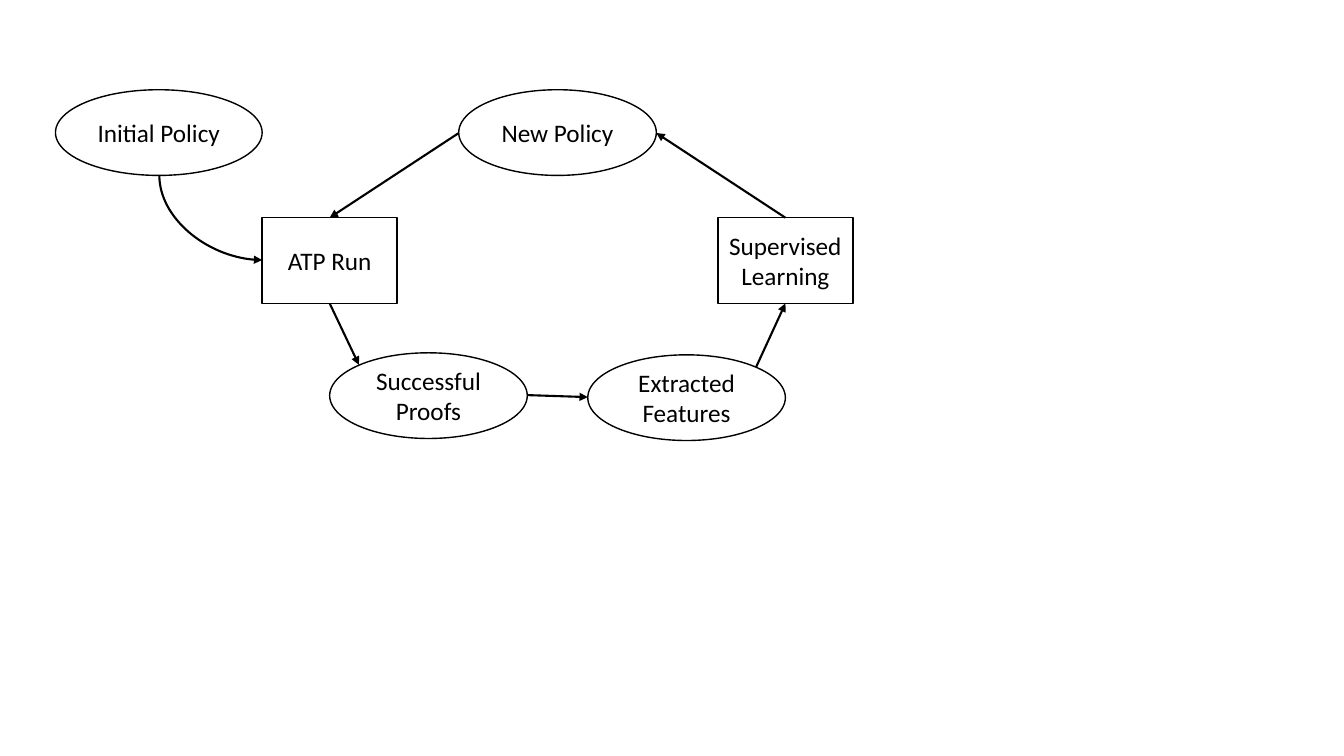
from dataclasses import dataclass
from enum import Enum
from math import hypot

from lxml.etree import SubElement
from pptx import Presentation
from pptx.dml.color import RGBColor
from pptx.enum.shapes import MSO_CONNECTOR, MSO_SHAPE
from pptx.enum.text import MSO_ANCHOR, PP_ALIGN
from pptx.oxml.ns import qn
from pptx.shapes.autoshape import Shape
from pptx.shapes.connector import Connector
from pptx.slide import Slide
from pptx.util import Emu, Pt

EMU_PER_PX = 9144  # 100 px to the inch


@dataclass(frozen=True)
class Theme:
    ink: RGBColor = RGBColor(0x00, 0x00, 0x00)
    paper: RGBColor = RGBColor(0xFF, 0xFF, 0xFF)
    font: str = "Calibri"
    label_size: float = 18
    outline: float = 1
    arrow: float = 1.5


THEME = Theme()


class Side(Enum):
    """Direction from the centre of a node to a point on its edge."""
    TOP = (0, -1)
    LEFT = (-1, 0)
    BOTTOM = (0, 1)
    RIGHT = (1, 0)
    TOP_LEFT = (-1, -1)
    TOP_RIGHT = (1, -1)


RECTANGLE_SITES = {Side.TOP: 0, Side.LEFT: 1, Side.BOTTOM: 2, Side.RIGHT: 3}


@dataclass(frozen=True)
class Node:
    label: str
    left: int
    top: int
    width: int
    height: int = 85
    outline: MSO_SHAPE = MSO_SHAPE.OVAL

    def edge_point(self, side: Side) -> tuple[int, int]:
        dx, dy = side.value
        reach = 2 * hypot(dx, dy)
        return (round(self.left + self.width * (0.5 + dx / reach)),
                round(self.top + self.height * (0.5 + dy / reach)))


@dataclass(frozen=True)
class Arrow:
    source: Node
    leaves: Side
    target: Node
    enters: Side
    curved: bool = False


# Steps are rectangles, data are ellipses
ATP_RUN = Node("ATP Run", 260, 216, 134, outline=MSO_SHAPE.RECTANGLE)
PROOFS = Node("Successful Proofs", 327, 350, 196)
FEATURES = Node("Extracted Features", 583, 352, 196)
LEARNING = Node("Supervised Learning", 712, 216, 134, outline=MSO_SHAPE.RECTANGLE)
NEW_POLICY = Node("New Policy", 455, 89, 196)
INITIAL_POLICY = Node("Initial Policy", 55, 89, 205)
NODES = (ATP_RUN, PROOFS, FEATURES, LEARNING, NEW_POLICY, INITIAL_POLICY)

ARROWS = (
    Arrow(INITIAL_POLICY, Side.BOTTOM, ATP_RUN, Side.LEFT, curved=True),
    Arrow(ATP_RUN, Side.BOTTOM, PROOFS, Side.TOP_LEFT),
    Arrow(PROOFS, Side.RIGHT, FEATURES, Side.LEFT),
    Arrow(FEATURES, Side.TOP_RIGHT, LEARNING, Side.BOTTOM),
    Arrow(LEARNING, Side.TOP, NEW_POLICY, Side.RIGHT),
    Arrow(NEW_POLICY, Side.LEFT, ATP_RUN, Side.TOP),
)


def px(length: float) -> Emu:
    return Emu(round(length * EMU_PER_PX))


def write_text(shape: Shape, text: str, *, size: float, color: RGBColor,
               align: PP_ALIGN = PP_ALIGN.CENTER) -> None:
    frame = shape.text_frame
    frame.word_wrap = True
    frame.vertical_anchor = MSO_ANCHOR.MIDDLE
    paragraph = frame.paragraphs[0]
    paragraph.alignment = align
    run = paragraph.add_run()
    run.text = text
    run.font.name = THEME.font
    run.font.size = Pt(size)
    run.font.color.rgb = color


def draw_node(slide: Slide, node: Node) -> Shape:
    shape = slide.shapes.add_shape(node.outline, px(node.left), px(node.top),
                                   px(node.width), px(node.height))
    shape.shadow.inherit = False
    shape.fill.solid()
    shape.fill.fore_color.rgb = THEME.paper
    shape.line.color.rgb = THEME.ink
    shape.line.width = Pt(THEME.outline)
    write_text(shape, node.label, size=THEME.label_size, color=THEME.ink)
    return shape


def bend_down_then_right(connector: Connector, start: tuple[int, int],
                         end: tuple[int, int]) -> None:
    """Make a quarter bend; its frame is stored turned by 270 degrees."""
    run, drop = end[0] - start[0], end[1] - start[1]
    connector.left = px((start[0] + end[0] - drop) / 2)
    connector.top = px((start[1] + end[1] - run) / 2)
    connector.width, connector.height = px(drop), px(run)
    properties = connector._element.spPr
    properties.find(qn("a:prstGeom")).set("prst", "curvedConnector2")
    frame = properties.find(qn("a:xfrm"))
    frame.set("rot", str(270 * 60000))
    frame.set("flipH", "1")


def draw_arrow(slide: Slide, arrow: Arrow, shapes: dict[Node, Shape]) -> None:
    start = arrow.source.edge_point(arrow.leaves)
    end = arrow.target.edge_point(arrow.enters)
    kind = MSO_CONNECTOR.CURVE if arrow.curved else MSO_CONNECTOR.STRAIGHT
    connector = slide.shapes.add_connector(kind, *map(px, start + end))

    # Join the ends that meet a rectangle
    if arrow.source.outline == MSO_SHAPE.RECTANGLE:
        connector.begin_connect(shapes[arrow.source], RECTANGLE_SITES[arrow.leaves])
    if arrow.target.outline == MSO_SHAPE.RECTANGLE:
        connector.end_connect(shapes[arrow.target], RECTANGLE_SITES[arrow.enters])
    if arrow.curved:
        bend_down_then_right(connector, start, end)

    # Line, arrowhead, no shadow
    connector.line.color.rgb = THEME.ink
    connector.line.width = Pt(THEME.arrow)
    properties = connector._element.spPr
    SubElement(properties.find(qn("a:ln")), qn("a:tailEnd"), type="triangle")
    SubElement(properties, qn("a:effectLst"))


def main() -> None:
    deck = Presentation()
    deck.slide_width, deck.slide_height = px(1333), px(750)
    slide = deck.slides.add_slide(deck.slide_layouts[6])
    shapes = {node: draw_node(slide, node) for node in NODES}
    for arrow in ARROWS:
        draw_arrow(slide, arrow, shapes)
    deck.save("out.pptx")


if __name__ == "__main__":
    main()
